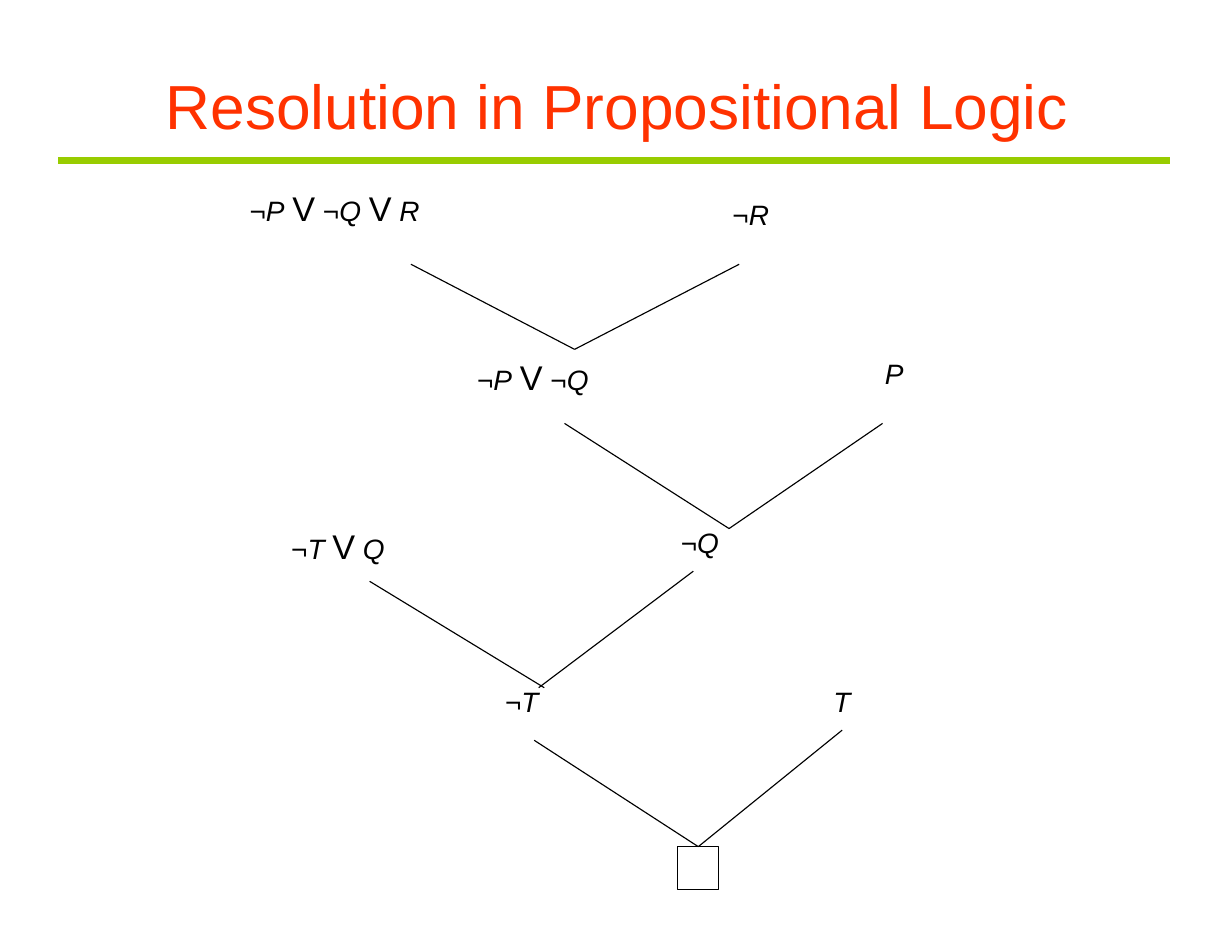
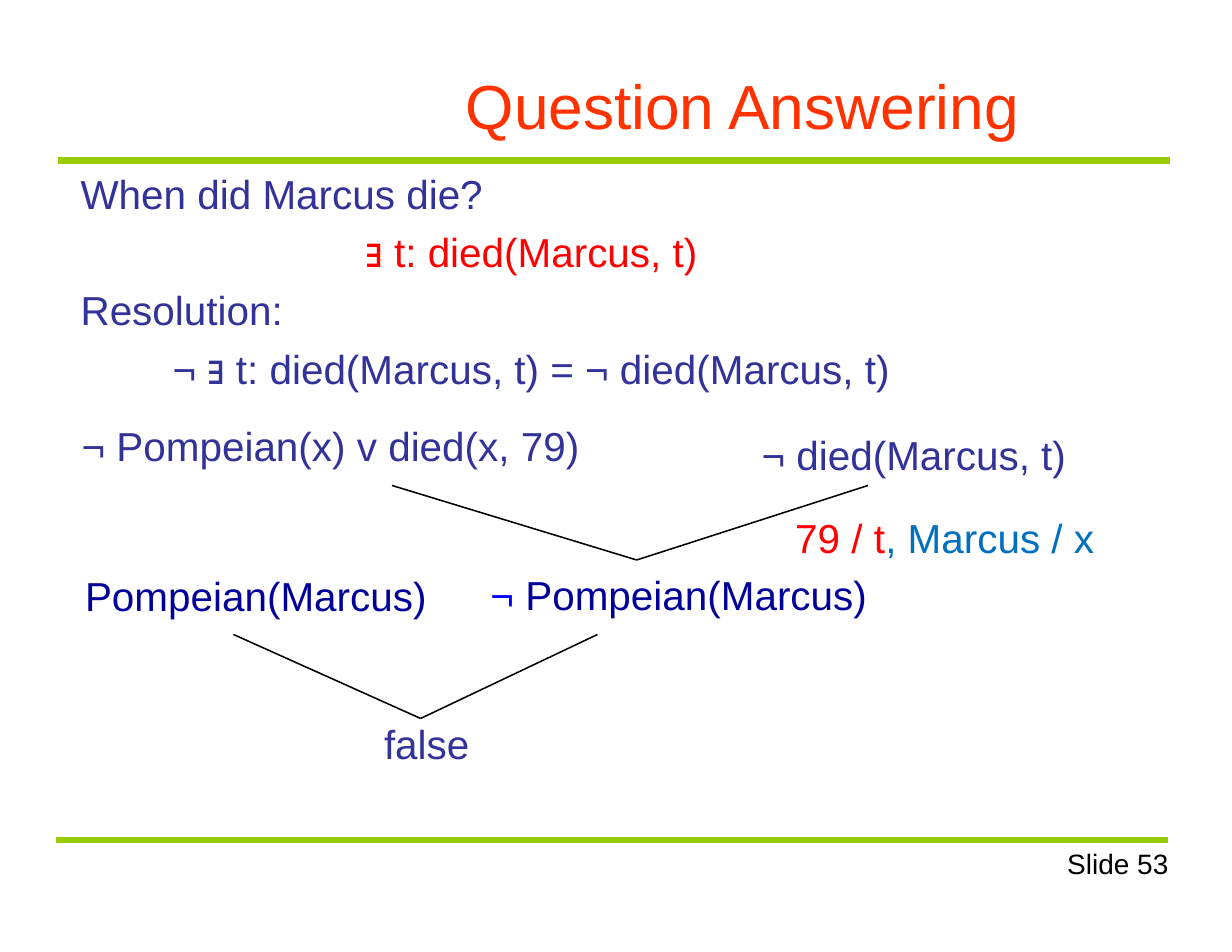
from dataclasses import dataclass
from itertools import groupby

from lxml import etree
from pptx import Presentation
from pptx.dml.color import RGBColor
from pptx.enum.shapes import MSO_AUTO_SHAPE_TYPE, MSO_CONNECTOR
from pptx.enum.text import MSO_ANCHOR, MSO_AUTO_SIZE, PP_ALIGN
from pptx.oxml.ns import qn
from pptx.util import Pt

LEFT, CENTER = PP_ALIGN.LEFT, PP_ALIGN.CENTER
TOP = MSO_ANCHOR.TOP
FIT = MSO_AUTO_SIZE.SHAPE_TO_FIT_TEXT
RECTANGLE = MSO_AUTO_SHAPE_TYPE.RECTANGLE
STRAIGHT = MSO_CONNECTOR.STRAIGHT
TOP_SIDE = 0


@dataclass(frozen=True)
class Theme:
    font: str = "Arial"
    title: str = "FF3200"
    band: str = "98CC00"
    ink: str = "000000"
    body: str = "323299"
    fact: str = "000099"
    negation: str = "0000FF"
    query: str = "FF0000"
    binding: str = "006FC0"
    title_size: float = 40
    body_size: float = 26
    label_size: float = 18
    operator_size: float = 22
    band_width: float = 4.45
    tree_width: float = 0.75
    proof_width: float = 1


THEME = Theme()
SLIDE_SIZE = (792, 612)
TITLE_BOX = (56.2, 43.2, 680.4, 50.4)
BAND_LENGTH = 715
TITLE_BAND = (37.4, 103)
FOOTER_BAND = (36, 540)
LABEL_INSET = (7.92, 4.32)
BODY_INDENT = (0.7, 0)

CLAUSES = [
    ("¬P V ¬Q V R", (152.6, 115.9, 127.4, 34.6)),
    ("¬R", (463, 122.4, 41, 29.5)),
    ("¬P V ¬Q", (298.8, 224.6, 90, 34.6)),
    ("P", (560.9, 224.6, 28.1, 29.5)),
    ("¬Q", (429.8, 333.4, 41.8, 29.5)),
    ("¬T V Q", (179.3, 333.4, 77.8, 34.6)),
    ("¬T", (316.8, 435.6, 39, 29.5)),
    ("T", (527.8, 435.6, 27.4, 29.5)),
]
TREE_LINES = [
    ((264.2, 169.9), (369.4, 224.6)),
    ((475.2, 169.9), (369.4, 224.6)),
    ((362.9, 272.2), (468.7, 339.8)),
    ((567.4, 272.2), (468.7, 339.8)),
    ((237.6, 373.7), (349.9, 442.1)),
    ((445.7, 367.2), (346.3, 442.1)),
]
EMPTY_CLAUSE_BOX = (435.6, 544.3, 26.6, 27.4)
EMPTY_CLAUSE_PARENTS = [(343.4, 475.9), (541.4, 469.4)]

QUESTION_BOX = (51.1, 108.7, 581, 143.3)
QUESTION = [
    ("When did Marcus die?", THEME.body, LEFT),
    ("∃ t: died(Marcus, t)", THEME.query, CENTER),
    ("Resolution:", THEME.body, LEFT),
    ("¬ ∃ t: died(Marcus, t) = ¬ died(Marcus, t)", THEME.body, CENTER),
]
PROOF_STEPS = [
    ([("¬ Pompeian(x) v died(x, 79)", THEME.body)], (51.8, 270.7, 325.4, 31)),
    ([("¬ ", THEME.negation), ("Pompeian(Marcus)", THEME.fact)], (314.6, 366.5, 270, 31)),
    ([("Pompeian(Marcus)", THEME.fact)], (54, 367.2, 247, 31)),
    ([("false", THEME.body)], (246.2, 462.2, 64, 31)),
]
GOAL_BOX = (488.9, 254.2, 215.3, 106.6)
GOAL = [
    ("¬ died(Marcus, t) ", THEME.body),
    ("79 / t", THEME.query),
    (", Marcus / x", THEME.binding),
]
PROOF_LINES = [
    ((252, 312.1), (409.3, 360)),
    ((558, 312.1), (409.3, 360)),
    ((150.1, 407.9), (270.4, 461.9)),
    ((384.1, 407.9), (270.4, 461.9)),
]
NUMBER_BOX = (685.4, 547.2, 72, 18.7)


def points(values):
    return [Pt(value) for value in values]


def apply(target, values):
    for name, value in values.items():
        setattr(target, name, value)


def run(text, color, size=THEME.body_size, italic=False):
    return text, color, {"name": THEME.font, "size": Pt(size), "italic": italic}


def add_text(slide, box, paragraphs, inset=(0, 0), wrap=True):
    frame = slide.shapes.add_textbox(*points(box)).text_frame
    side, edge = points(inset)
    apply(frame, {
        "margin_left": side, "margin_right": side,
        "margin_top": edge, "margin_bottom": edge,
        "word_wrap": wrap, "auto_size": FIT, "vertical_anchor": TOP,
    })
    for index, (runs, indent, values) in enumerate(paragraphs):
        paragraph = frame.add_paragraph() if index else frame.paragraphs[0]
        properties = paragraph._p.get_or_add_pPr()
        for name, value in zip(("marL", "indent"), indent):
            properties.set(name, str(Pt(value)))
        apply(paragraph, values)
        for text, color, font_values in runs:
            piece = paragraph.add_run()
            piece.text = text
            apply(piece.font, font_values)
            piece.font.color.rgb = RGBColor.from_string(color)


def add_line(slide, start, end, color, width):
    line = slide.shapes.add_connector(STRAIGHT, *points((*start, *end)))
    line.line.color.rgb = RGBColor.from_string(color)
    line.line.width = Pt(width)
    etree.SubElement(line._element.spPr, qn("a:effectLst"))
    return line


def add_band(slide, start):
    left, top = start
    add_line(slide, start, (left + BAND_LENGTH, top), THEME.band, THEME.band_width)


def add_titled_slide(presentation, title, indent=0):
    slide = presentation.slides.add_slide(presentation.slide_layouts[6])
    add_band(slide, TITLE_BAND)
    title_run = run(title, THEME.title, THEME.title_size)
    add_text(slide, TITLE_BOX, [([title_run], (indent, 0), {"alignment": CENTER})])
    return slide


def clause_style(character):
    size = THEME.operator_size if character == "V" else THEME.label_size
    return size, character in "PQRT"


def clause_runs(clause):
    return [
        run("".join(characters), THEME.ink, size, italic)
        for (size, italic), characters in groupby(clause, clause_style)
    ]


def build_propositional(presentation):
    slide = add_titled_slide(presentation, "Resolution in Propositional Logic")
    for clause, box in CLAUSES:
        add_text(slide, box, [(clause_runs(clause), (0, 0), {})], LABEL_INSET, wrap=False)
    empty_clause = slide.shapes.add_shape(RECTANGLE, *points(EMPTY_CLAUSE_BOX))
    empty_clause.shadow.inherit = False
    empty_clause.fill.background()
    empty_clause.line.color.rgb = RGBColor.from_string(THEME.ink)
    empty_clause.line.width = Pt(THEME.tree_width)
    for start, end in TREE_LINES:
        add_line(slide, start, end, THEME.ink, THEME.tree_width)
    for start in EMPTY_CLAUSE_PARENTS:
        line = add_line(slide, start, EMPTY_CLAUSE_BOX[:2], THEME.ink, THEME.tree_width)
        line.end_connect(empty_clause, TOP_SIDE)


def build_question_answering(presentation):
    slide = add_titled_slide(presentation, "Question Answering", indent=161.3)
    add_text(slide, QUESTION_BOX, [
        ([run(text, color)], BODY_INDENT,
         {"alignment": alignment, "space_before": Pt(6.2 if index else 0)})
        for index, (text, color, alignment) in enumerate(QUESTION)
    ])
    for pieces, box in PROOF_STEPS:
        add_text(slide, box, [([run(*piece) for piece in pieces], BODY_INDENT, {})])
    goal_runs = [run(*piece) for piece in GOAL]
    add_text(slide, GOAL_BOX, [(goal_runs, (22.3, -21.6), {"line_spacing": Pt(53.4)})])
    for start, end in PROOF_LINES:
        add_line(slide, start, end, THEME.ink, THEME.proof_width)
    add_band(slide, FOOTER_BAND)
    number_run = run("Slide 53", THEME.ink, THEME.label_size)
    add_text(slide, NUMBER_BOX, [([number_run], BODY_INDENT, {"line_spacing": Pt(18.5)})])


def main():
    presentation = Presentation()
    presentation.slide_width, presentation.slide_height = points(SLIDE_SIZE)
    build_propositional(presentation)
    build_question_answering(presentation)
    presentation.save("out.pptx")


if __name__ == "__main__":
    main()
